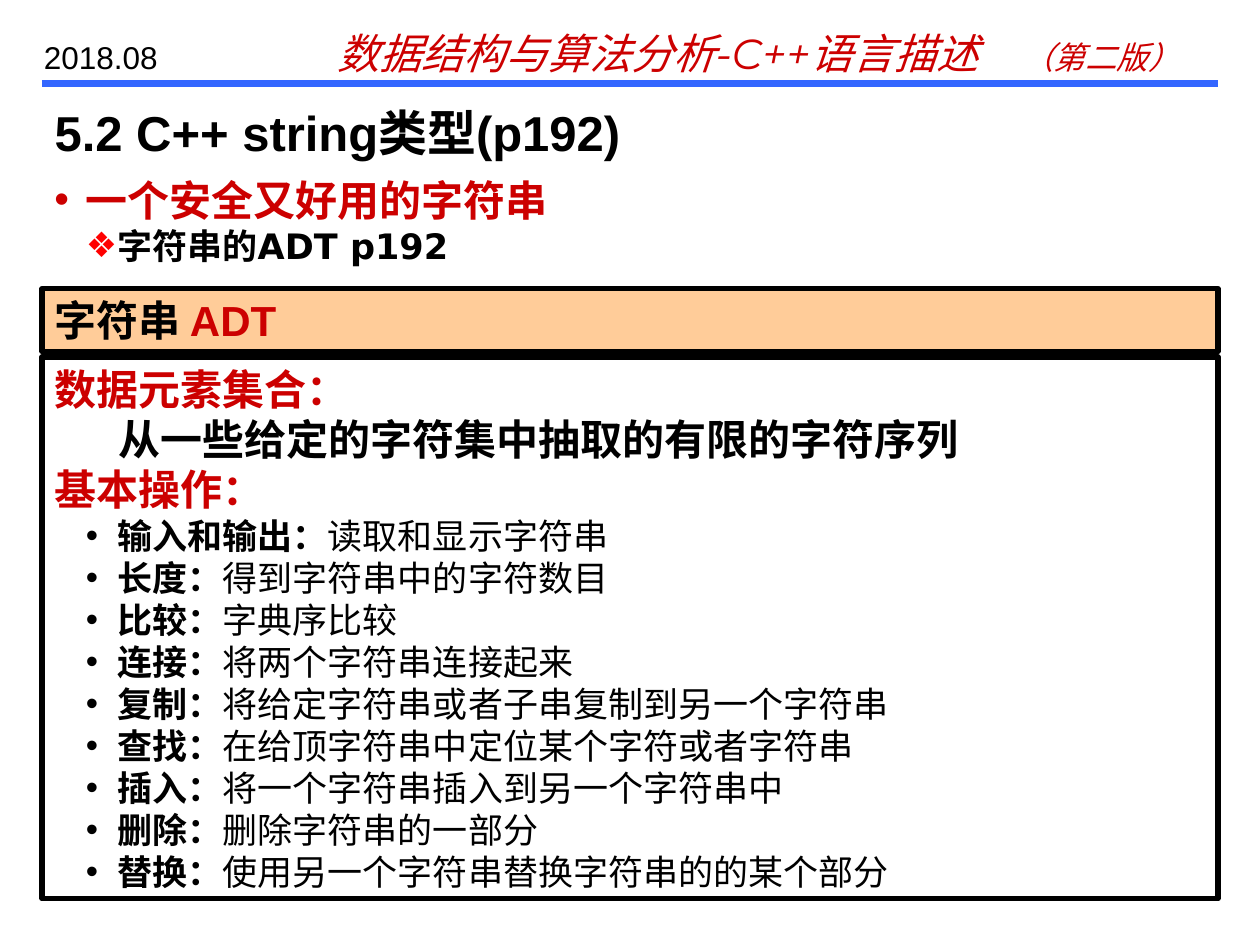
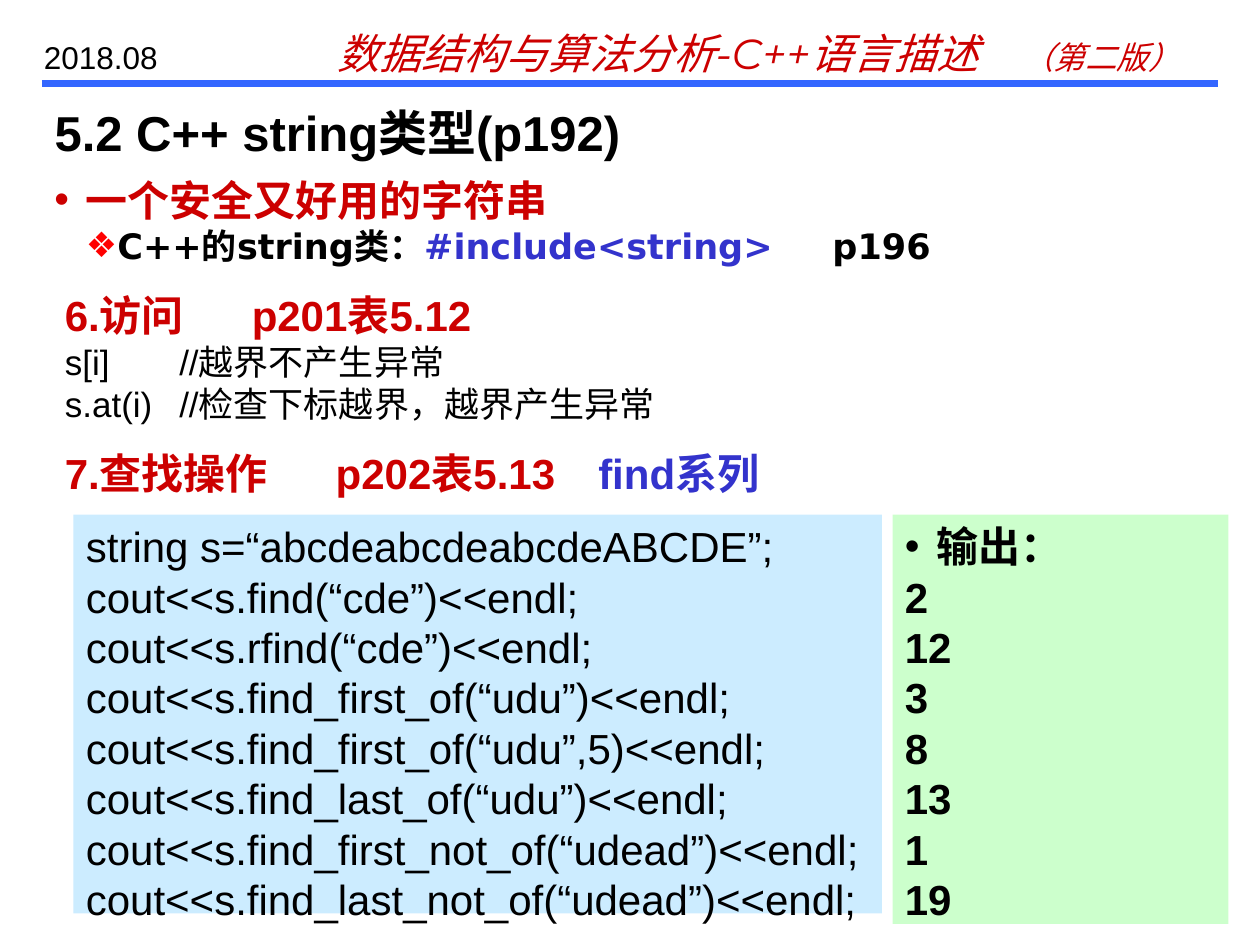
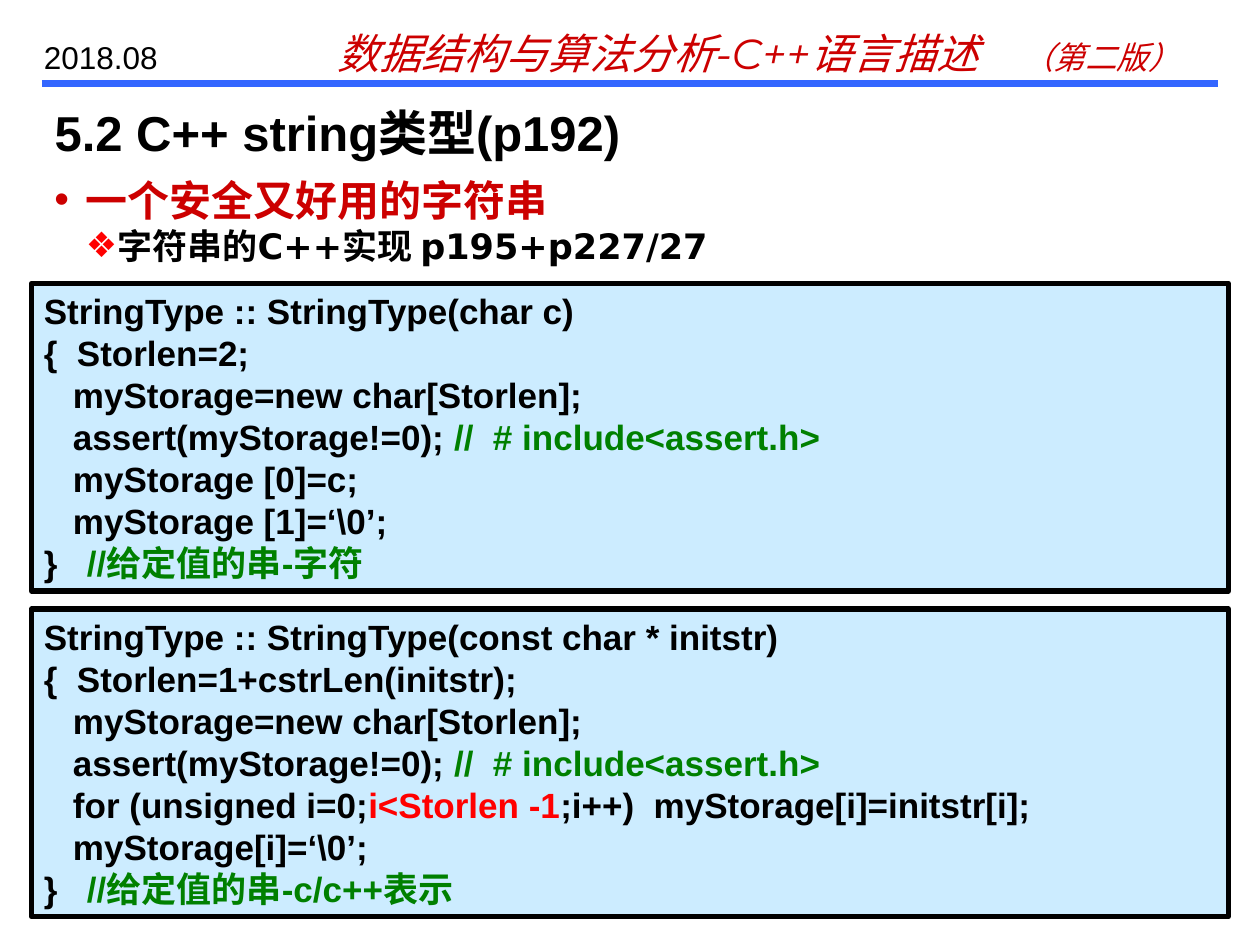
from dataclasses import dataclass

from lxml import etree
from pptx import Presentation
from pptx import util as u
from pptx.dml.color import RGBColor
from pptx.enum import shapes, text
from pptx.oxml.ns import qn

PX = 7620  # EMU per px, 120 px to the inch
TITLE_ONLY = 5


@dataclass(frozen=True)
class Theme:
    black: str = "000000"
    accent: str = "CC0000"
    bright: str = "FF0000"
    blue: str = "3333CC"
    comment: str = "008000"
    rule: str = "3366FF"
    head_fill: str = "FFCC99"
    code_fill: str = "CCECFF"
    output_fill: str = "CCFFCC"
    font: str = "Arial"
    topic_font: str = "DejaVu Sans"
    header_font: str = "Montserrat"
    title_size: int = 28
    head_size: int = 24
    body_size: int = 20
    small_size: int = 18
    rule_width: int = 4
    border_width: int = 3


T = Theme()


def px(*lengths):
    return [n * PX for n in lengths]


def rgb(color):
    return RGBColor.from_string(color)


def format_run(r, size=T.body_size, color=T.black, font=T.font, bold=False, italic=False):
    r.font.size = u.Pt(size)
    r.font.color.rgb = rgb(color)
    r.font.name = font
    r.font.bold = bold
    r.font.italic = italic


def write(tf, content, bullet=None, bullet_color=T.black, level=0, indent=0, tabs=(), **style):
    """Append a paragraph; content is a string or a list of strings and (string, style) pairs."""
    p = tf.add_paragraph() if tf.text else tf.paragraphs[0]
    p.alignment = text.PP_ALIGN.LEFT
    p.level = level
    pPr = p._p.get_or_add_pPr()
    if bullet:
        indent = 30 * (level + 1)
        pPr.set("indent", str(-30 * PX))
        color = etree.SubElement(pPr, qn("a:buClr"))
        etree.SubElement(color, qn("a:srgbClr"), val=bullet_color)
        etree.SubElement(pPr, qn("a:buFont"), typeface=T.font)
        etree.SubElement(pPr, qn("a:buChar"), char=bullet)
    pPr.set("marL", str(indent * PX))
    if tabs:
        stops = etree.SubElement(pPr, qn("a:tabLst"))
        for stop in tabs:
            etree.SubElement(stops, qn("a:tab"), pos=str(stop * PX), algn="l")
    for part in [content] if isinstance(content, str) else content:
        words, own = (part, {}) if isinstance(part, str) else part
        r = p.add_run()
        r.text = words
        format_run(r, **{**style, **own})


class Deck:
    def __init__(self):
        self.prs = Presentation()
        self.prs.slide_width, self.prs.slide_height = px(1200, 900)
        self.s = None

    def frame(self, sp):
        tf = sp.text_frame
        tf.word_wrap = True
        tf.auto_size = text.MSO_AUTO_SIZE.NONE
        tf.vertical_anchor = text.MSO_ANCHOR.TOP
        tf.margin_left, tf.margin_right, tf.margin_top, tf.margin_bottom = px(12, 12, 6, 6)
        return tf

    def textbox(self, *at):
        return self.frame(self.s.shapes.add_textbox(*px(*at)))

    def panel(self, *at, fill=None, border=False):
        sp = self.s.shapes.add_shape(shapes.MSO_SHAPE.RECTANGLE, *px(*at))
        sp.shadow.inherit = False
        if fill:
            sp.fill.solid()
            sp.fill.fore_color.rgb = rgb(fill)
        else:
            sp.fill.background()
        if border:
            sp.line.color.rgb = rgb(T.black)
            sp.line.width = u.Pt(T.border_width)
        else:
            sp.line.fill.background()
        self.frame(sp)
        return sp

    def rule(self, x1, x2, y):
        line = self.s.shapes.add_connector(shapes.MSO_CONNECTOR.STRAIGHT, *px(x1, y, x2, y))
        line.line.color.rgb = rgb(T.rule)
        line.line.width = u.Pt(T.rule_width)
        etree.SubElement(line._element.spPr, qn("a:effectLst"))

    def title(self, words):
        sp = self.s.shapes.title
        sp.left, sp.top, sp.width, sp.height = px(40, 92, 1110, 68)
        write(self.frame(sp), words, size=T.title_size, bold=True)

    def new_slide(self, topic, tabs=()):
        """Start a slide with the course header, section title and given topic."""
        self.s = self.prs.slides.add_slide(self.prs.slide_layouts[TITLE_ONLY])
        self.rule(40, 1160, 80)
        write(self.textbox(310, 20, 840, 60),
              ["数据结构与算法分析-C++语言描述\t", ("（第二版）", {"size": T.small_size})],
              tabs=[652], size=T.head_size, color=T.accent, font=T.header_font, italic=True)
        write(self.textbox(30, 30, 170, 48), "2018.08", size=T.small_size)
        self.title("5.2 C++ string类型(p192)")
        tf = self.textbox(40, 160, 1160, 101)
        write(tf, "一个安全又好用的字符串", bullet="•", bullet_color=T.accent,
              size=T.head_size, color=T.accent, font=T.topic_font, bold=True)
        write(tf, topic, bullet="❖", bullet_color=T.bright, level=1, tabs=tabs,
              font=T.topic_font, bold=True)

    def heading(self, tf, content, tabs):
        write(tf, content, tabs=tabs, size=T.head_size, color=T.accent, bold=True)

    def code(self, top, lines):
        """Draw a framed listing; whatever follows // in a plain line is a comment."""
        tf = self.panel(30, top, 1140, 293, fill=T.code_fill, border=True).text_frame
        for line in lines:
            if isinstance(line, str) and "//" in line:
                code, note = line.split("//", 1)
                line = [code, ("//" + note, {"color": T.comment})]
            write(tf, line, tabs=[41], bold=True)


OPERATIONS = [
    ("输入和输出", "读取和显示字符串"),
    ("长度", "得到字符串中的字符数目"),
    ("比较", "字典序比较"),
    ("连接", "将两个字符串连接起来"),
    ("复制", "将给定字符串或者子串复制到另一个字符串"),
    ("查找", "在给顶字符串中定位某个字符或者字符串"),
    ("插入", "将一个字符串插入到另一个字符串中"),
    ("删除", "删除字符串的一部分"),
    ("替换", "使用另一个字符串替换字符串的的某个部分"),
]

# search call and the value it prints
SEARCHES = [
    ("find(“cde”)", 2),
    ("rfind(“cde”)", 12),
    ("find_first_of(“udu”)", 3),
    ("find_first_of(“udu”,5)", 8),
    ("find_last_of(“udu”)", 13),
    ("find_first_not_of(“udead”)", 1),
    ("find_last_not_of(“udead”)", 19),
]

ALLOCATE = [
    "   myStorage=new char[Storlen];",
    "   assert(myStorage!=0); //  # include<assert.h>",
]


def adt_slide(deck):
    deck.new_slide("字符串的ADT p192")
    head = deck.panel(40, 275, 1120, 60, fill=T.head_fill, border=True)
    write(head.text_frame, ["字符串 ", ("ADT", {"color": T.accent})], size=T.head_size, bold=True)
    body = deck.panel(40, 340, 1120, 516, border=True)
    tf = body.text_frame
    big = {"size": T.head_size, "bold": True}
    write(tf, "数据元素集合：", color=T.accent, **big)
    write(tf, "从一些给定的字符集中抽取的有限的字符序列", indent=61, **big)
    write(tf, "基本操作：", color=T.accent, **big)
    for name, meaning in OPERATIONS:
        write(tf, [(name + "：", {"bold": True}), meaning], bullet="•", level=1)
    deck.s.shapes.add_group_shape([head, body])


def find_slide(deck):
    deck.new_slide(["C++的string类：", ("#include<string>\t", {"color": T.blue}), "p196"], tabs=[741])
    tf = deck.textbox(50, 270, 1080, 140)
    deck.heading(tf, "6.访问\tp201表5.12", tabs=[178])
    for line in ("s[i]\t//越界不产生异常", "s.at(i)\t//检查下标越界，越界产生异常"):
        write(tf, line, tabs=[109])
    deck.heading(deck.textbox(50, 420, 1070, 60),
                 ["7.查找操作\tp202表5.13\t", ("find系列", {"color": T.blue})], tabs=[258, 508])
    code = deck.panel(70, 490, 770, 380, fill=T.code_fill).text_frame
    output = deck.panel(850, 490, 320, 390, fill=T.output_fill).text_frame
    write(code, "string s=“abcdeabcdeabcdeABCDE”;", size=T.head_size)
    write(output, "输出：", bullet="•", size=T.head_size, bold=True)
    for call, result in SEARCHES:
        write(code, f"cout<<s.{call}<<endl;", size=T.head_size)
        write(output, str(result), size=T.head_size, bold=True)


def constructor_slide(deck):
    deck.new_slide("字符串的C++实现 p195+p227/27")
    deck.code(270, [
        "StringType :: StringType(char c)",
        "{  Storlen=2;",
        *ALLOCATE,
        "   myStorage [0]=c;",
        "   myStorage [1]=‘\\0’;",
        "}\t//给定值的串-字符",
    ])
    deck.code(580, [
        "StringType :: StringType(const char * initstr)",
        "{  Storlen=1+cstrLen(initstr);",
        *ALLOCATE,
        ["   for (unsigned i=0;", ("i<Storlen -1", {"color": T.bright}),
         ";i++)  myStorage[i]=initstr[i];"],
        "   myStorage[i]=‘\\0’;",
        "}\t//给定值的串-c/c++表示",
    ])


def main():
    deck = Deck()
    for build in (adt_slide, find_slide, constructor_slide):
        build(deck)
    deck.prs.save("out.pptx")


if __name__ == "__main__":
    main()
